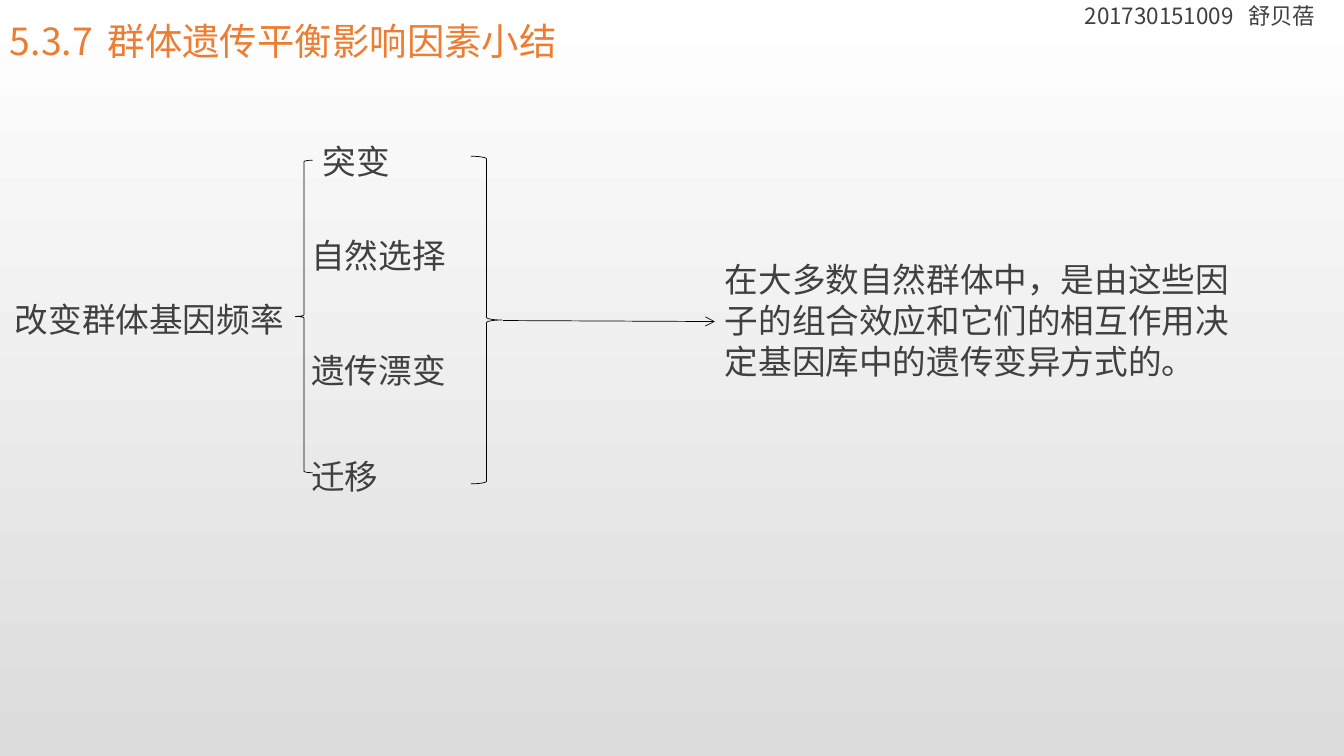
from lxml.etree import SubElement
from pptx import Presentation
from pptx.dml.color import RGBColor
from pptx.enum.shapes import MSO_CONNECTOR, MSO_SHAPE
from pptx.oxml.ns import qn
from pptx.util import Inches, Pt

FONT = "Noto Sans CJK SC"
COLORS = {"title": "ED7D31", "text": "404040", "line": "000000",
          "top": "FFFFFF", "bottom": "DCDCDC"}
LINE_HEIGHT = 1.22


def color(name):
    return RGBColor.from_string(COLORS[name])


def paint_background(page):
    fill = page.background.fill
    fill.gradient()
    fill.gradient_angle = 270  # counter-clockwise: runs from top to bottom
    for stop, name, position in zip(fill.gradient_stops, ("top", "bottom"), (0, 1)):
        stop.color.rgb = color(name)
        stop.position = position


def add_text(page, text, left, top, width, height, size=24, tone="text", tab=None):
    box = page.shapes.add_textbox(Inches(left), Inches(top), Inches(width), Inches(height))
    box.text_frame.word_wrap = True
    para = box.text_frame.paragraphs[0]
    para.line_spacing = Pt(round(size * LINE_HEIGHT, 1))
    if tab:
        tabs = SubElement(para._p.get_or_add_pPr(), qn("a:tabLst"))
        SubElement(tabs, qn("a:tab"), pos=str(Inches(tab)), algn="l")
    span = para.add_run()
    span.text = text
    span.font.size = Pt(size)
    span.font.name = FONT
    span.font.color.rgb = color(tone)
    SubElement(span.font._element, qn("a:ea"), typeface=FONT)


def style_line(line):
    line.color.rgb = color("line")
    line.width = Pt(0.5)


def add_brace(page, kind, left, top, width, height):
    brace = page.shapes.add_shape(kind, Inches(left), Inches(top), Inches(width), Inches(height))
    brace.shadow.inherit = False
    brace.fill.background()
    style_line(brace.line)


def add_arrow(page, start_x, start_y, end_x, end_y):
    arrow = page.shapes.add_connector(MSO_CONNECTOR.STRAIGHT, Inches(start_x), Inches(start_y),
                                      Inches(end_x), Inches(end_y))
    style_line(arrow.line)
    SubElement(arrow.line._get_or_add_ln(), qn("a:tailEnd"), type="arrow")
    SubElement(arrow._element.spPr, qn("a:effectLst"))


def main():
    deck = Presentation()
    deck.slide_width, deck.slide_height = Inches(13.33), Inches(7.5)
    page = deck.slides.add_slide(deck.slide_layouts[6])
    paint_background(page)

    # Title and author
    add_text(page, "5.3.7\t群体遗传平衡影响因素小结", 0, 0.12, 8.87, 0.55,
             size=26.7, tone="title", tab=0.97)
    add_text(page, "201730151009\t舒贝蓓", 10.66, -0.03, 2.68, 0.37, size=16, tab=1.62)

    # Factors that change the gene frequency
    add_text(page, "改变群体基因频率", 0.05, 2.91, 2.94, 0.5)
    add_brace(page, MSO_SHAPE.LEFT_BRACE, 2.93, 1.59, 0.17, 3.1)
    factors = [("突变", 3.1, 1.34), ("自然选择", 2.99, 2.27),
               ("遗传漂变", 2.99, 3.42), ("迁移", 2.99, 4.47)]
    for factor, left, top in factors:
        add_text(page, factor, left, top, 2.1, 0.5)
    add_brace(page, MSO_SHAPE.RIGHT_BRACE, 4.67, 1.55, 0.31, 3.25)

    # Combined effect
    add_text(page, "在大多数自然群体中，是由这些因子的组合效应和它们的相互作用"
             "决定基因库中的遗传变异方式的。", 7.09, 2.51, 5.35, 1.31)
    add_arrow(page, 4.99, 3.18, 7.09, 3.19)

    deck.save("out.pptx")


if __name__ == "__main__":
    main()
